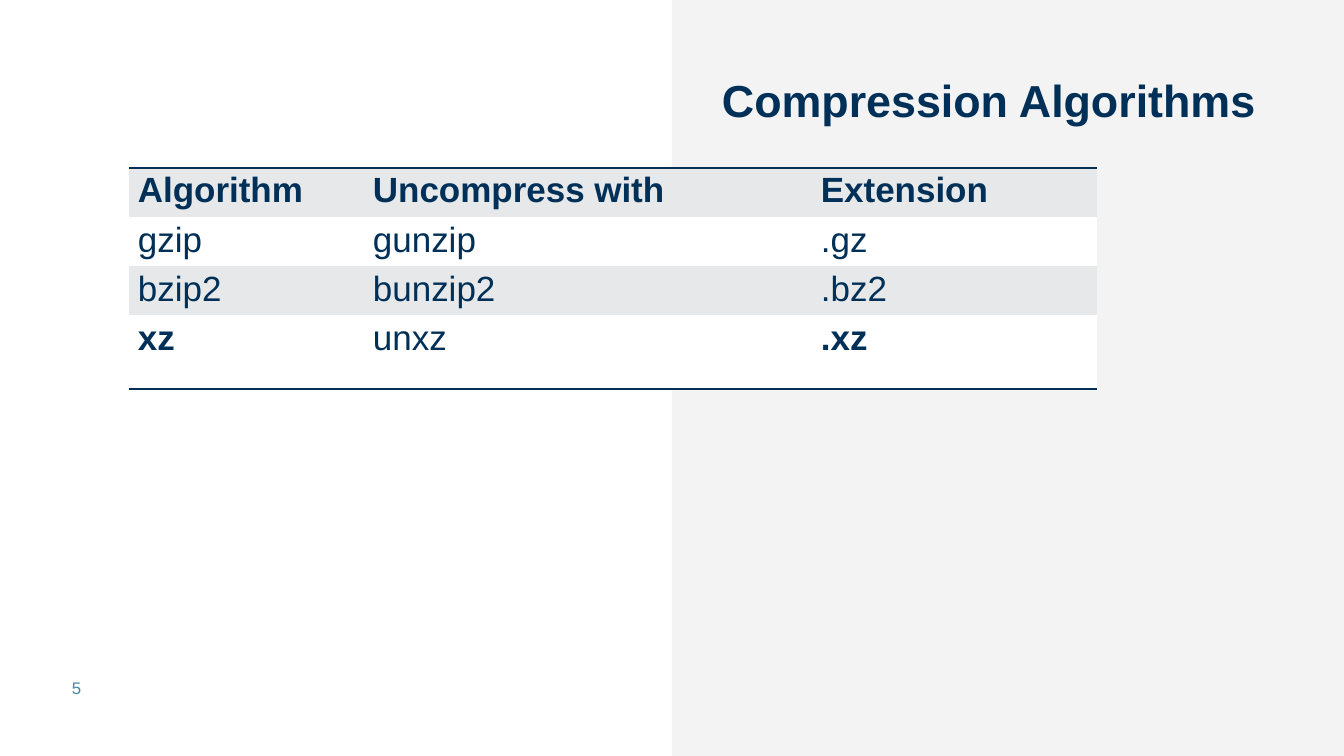
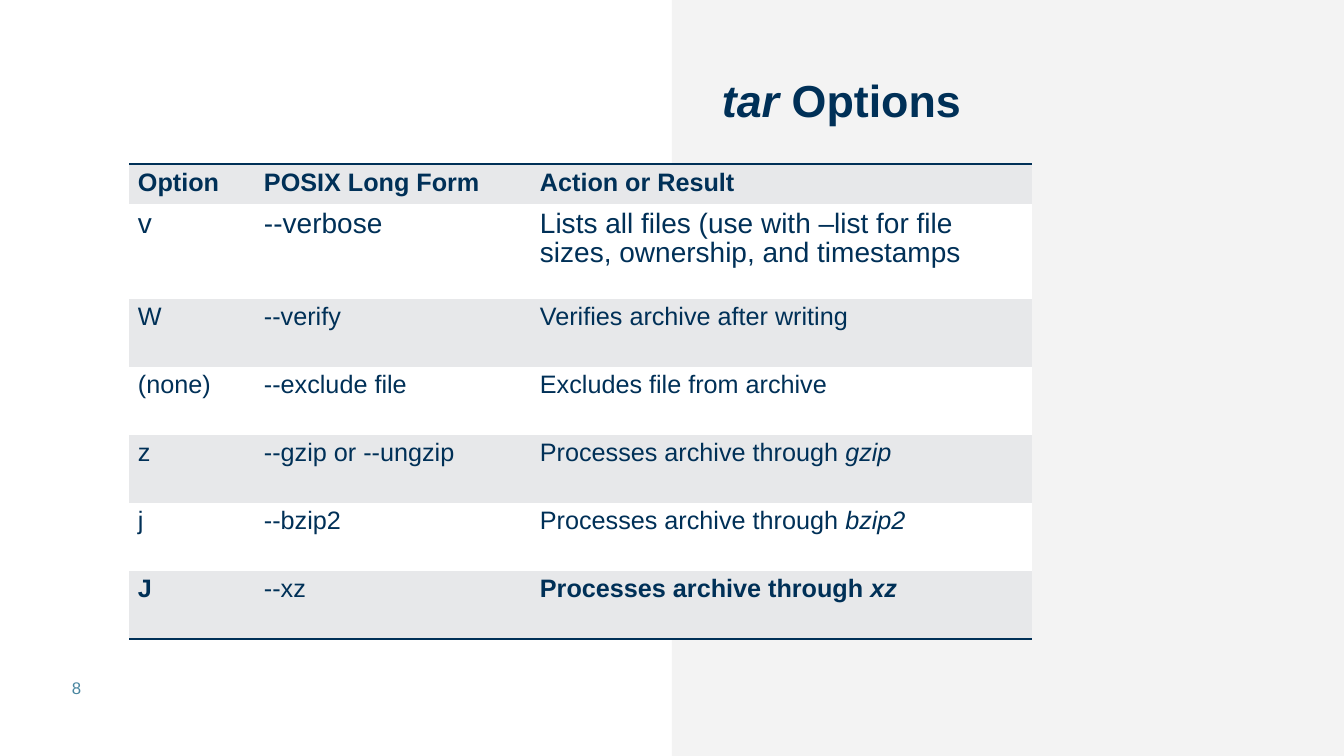
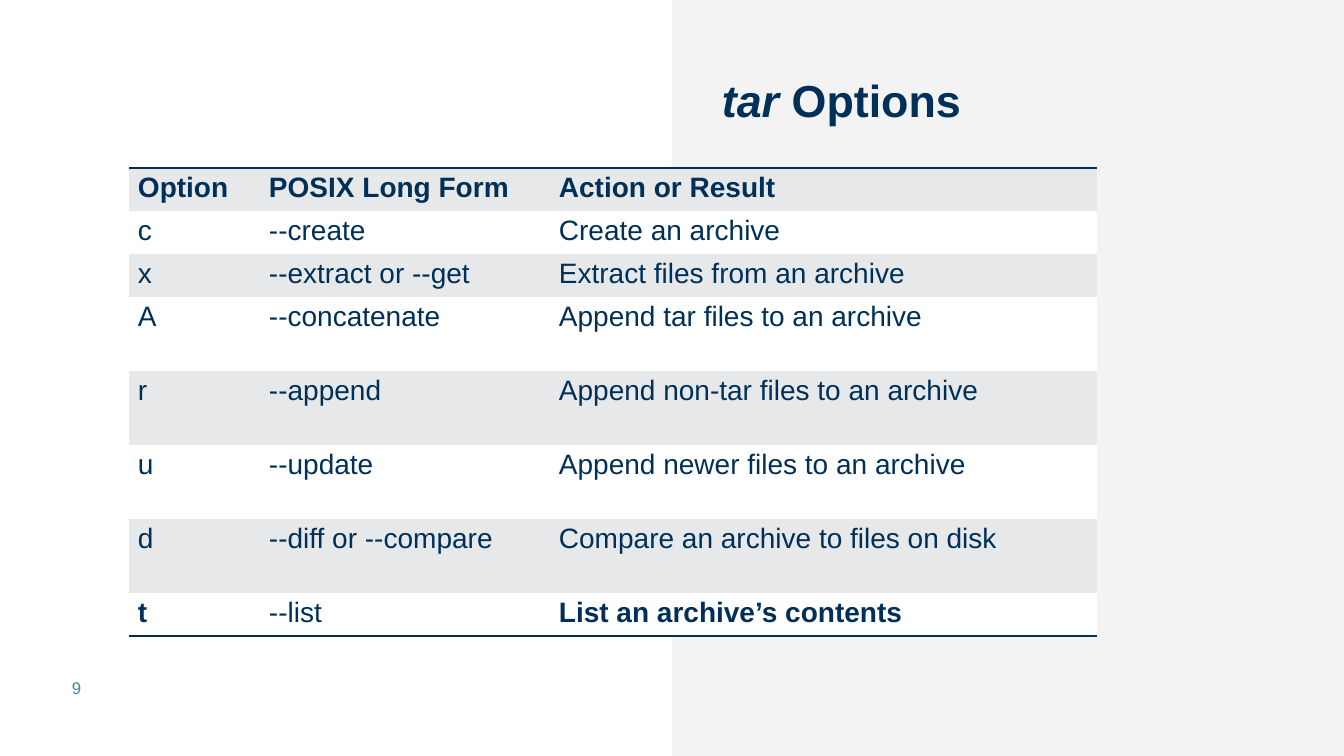
from dataclasses import dataclass
from typing import NamedTuple

from lxml import etree
from pptx import Presentation
from pptx import util as u
from pptx.dml.color import RGBColor
from pptx.enum import shapes, text
from pptx.oxml.ns import qn

WIDE, HIGH = 1344, 756
NAVY = RGBColor(0x00, 0x30, 0x57)
TEAL = RGBColor(0x49, 0x86, 0xA0)
MIST = RGBColor(0xE8, 0xE9, 0xE9)
BAND = RGBColor(0xE7, 0xE8, 0xEA)
WHITE = RGBColor(0xFF, 0xFF, 0xFF)
FONT = "Arial"
LEFT = 129
RULE = 2
PAD = dict(left=9, top=6, right=9, bottom=4)


class Run(NamedTuple):
    text: str
    bold: bool = False
    ital: bool = False


class Row(NamedTuple):
    high: int
    cells: tuple
    size: int | None = None


@dataclass
class Page:
    title: tuple
    num: int
    top: int
    size: int
    cols: tuple
    rows: tuple


def px(n: float) -> u.Emu:
    return u.Emu(round(n * 914400 / 100.8))


def write(frame, runs, *, size: int, color=NAVY, bold=False, space=1.0) -> None:
    """Fill a text frame with one paragraph, given as a string or as runs."""
    para = frame.paragraphs[0]
    para.line_spacing = space
    for part in (Run(runs),) if isinstance(runs, str) else runs:
        run = para.add_run()
        run.text = part.text
        font = run.font
        font.name, font.size = FONT, u.Pt(size)
        font.color.rgb = color
        font.bold, font.italic = bold or part.bold, part.ital


def add_box(slide, x: int, y: int, w: int, h: int, *, top=5, mid=False):
    frame = slide.shapes.add_textbox(px(x), px(y), px(w), px(h)).text_frame
    frame.word_wrap = True
    frame.margin_top = px(top)
    if mid:
        frame.vertical_anchor = text.MSO_ANCHOR.MIDDLE
    return frame


def add_panel(slide) -> None:
    """Shade the right half of the slide, half transparent."""
    half = WIDE // 2
    panel = slide.shapes.add_shape(
        shapes.MSO_SHAPE.RECTANGLE, px(half), 0, px(half), px(HIGH))
    panel.shadow.inherit = False
    panel.line.fill.background()
    panel.fill.solid()
    panel.fill.fore_color.rgb = MIST
    tone = panel._element.spPr.find(".//" + qn("a:srgbClr"))
    etree.SubElement(tone, qn("a:alpha"), val="50000")


def set_edges(cell, drawn: set) -> None:
    """Rule the named sides of a cell and clear the others."""
    props = cell._tc.get_or_add_tcPr()
    for place, side in enumerate("LRTB"):
        line = etree.Element(qn(f"a:ln{side}"))
        if side in drawn:
            line.set("w", str(u.Pt(RULE)))
            fill = etree.SubElement(line, qn("a:solidFill"))
            etree.SubElement(fill, qn("a:srgbClr"), val=str(NAVY))
        else:
            line.set("w", "0")
            etree.SubElement(line, qn("a:noFill"))
        props.insert(place, line)


def add_grid(slide, page: Page) -> None:
    rows, cols = page.rows, page.cols
    high = sum(row.high for row in rows)
    table = slide.shapes.add_table(
        len(rows), len(cols), px(LEFT), px(page.top),
        px(sum(cols)), px(high)).table
    table.first_row = table.horz_banding = False
    for col, wide in zip(table.columns, cols):
        col.width = px(wide)
    for r, row in enumerate(rows):
        table.rows[r].height = px(row.high)
        edges = {"T"} if r == 0 else {"B"} if r == len(rows) - 1 else set()
        for c, runs in enumerate(row.cells):
            cell = table.cell(r, c)
            for side, pad in PAD.items():
                setattr(cell, f"margin_{side}", px(pad))
            cell.fill.solid()
            cell.fill.fore_color.rgb = WHITE if r % 2 else BAND
            set_edges(cell, edges)
            write(cell.text_frame, runs, size=row.size or page.size,
                  bold=r == 0, space=0.93)


def add_page(deck, page: Page) -> None:
    slide = deck.slides.add_slide(deck.slide_layouts[6])
    add_panel(slide)
    write(add_box(slide, 712, 71, 573, 67, top=8), page.title,
          size=32, bold=True, space=0.9)
    write(add_box(slide, 62, 668, 67, 40, mid=True), str(page.num),
          size=12, color=TEAL)
    add_grid(slide, page)


def through(tool: str, bold: bool = False) -> tuple:
    return Run("Processes archive through ", bold), Run(tool, bold, True)


def strong(words: str) -> tuple:
    return (Run(words, bold=True),)


TAR = (Run("tar", ital=True), Run(" Options"))
HEADS = ("Option", "POSIX Long Form", "Action or Result")

PAGES = (
    Page("Compression Algorithms", 5, 168, 25, (235, 448, 285), (
        Row(48, ("Algorithm", "Uncompress with", "Extension")),
        Row(48, ("gzip", "gunzip", ".gz")),
        Row(48, ("bzip2", "bunzip2", ".bz2")),
        Row(74, (strong("xz"), "unxz", strong(".xz"))),
    )),
    Page(TAR, 8, 164, 18, (126, 276, 501), (
        Row(40, HEADS),
        Row(95, ("v", "--verbose",
                 "Lists all files (use with –list for file sizes, "
                 "ownership, and timestamps"), 20),
        Row(68, ("W", "--verify", "Verifies archive after writing")),
        Row(68, ("(none)", "--exclude file", "Excludes file from archive")),
        Row(68, ("z", "--gzip or --ungzip", through("gzip"))),
        Row(68, ("j", "--bzip2", through("bzip2"))),
        Row(68, (strong("J"), "--xz", through("xz", True))),
    )),
    Page(TAR, 9, 168, 20, (131, 290, 547), (
        Row(43, HEADS),
        Row(43, ("c", "--create", "Create an archive")),
        Row(43, ("x", "--extract or --get", "Extract files from an archive")),
        Row(74, ("A", "--concatenate", "Append tar files to an archive")),
        Row(74, ("r", "--append", "Append non-tar files to an archive")),
        Row(74, ("u", "--update", "Append newer files to an archive")),
        Row(74, ("d", "--diff or --compare",
                 "Compare an archive to files on disk")),
        Row(43, (strong("t"), "--list", strong("List an archive’s contents"))),
    )),
)


def main() -> None:
    deck = Presentation()
    deck.slide_width, deck.slide_height = px(WIDE), px(HIGH)
    for page in PAGES:
        add_page(deck, page)
    deck.save("out.pptx")


if __name__ == "__main__":
    main()
